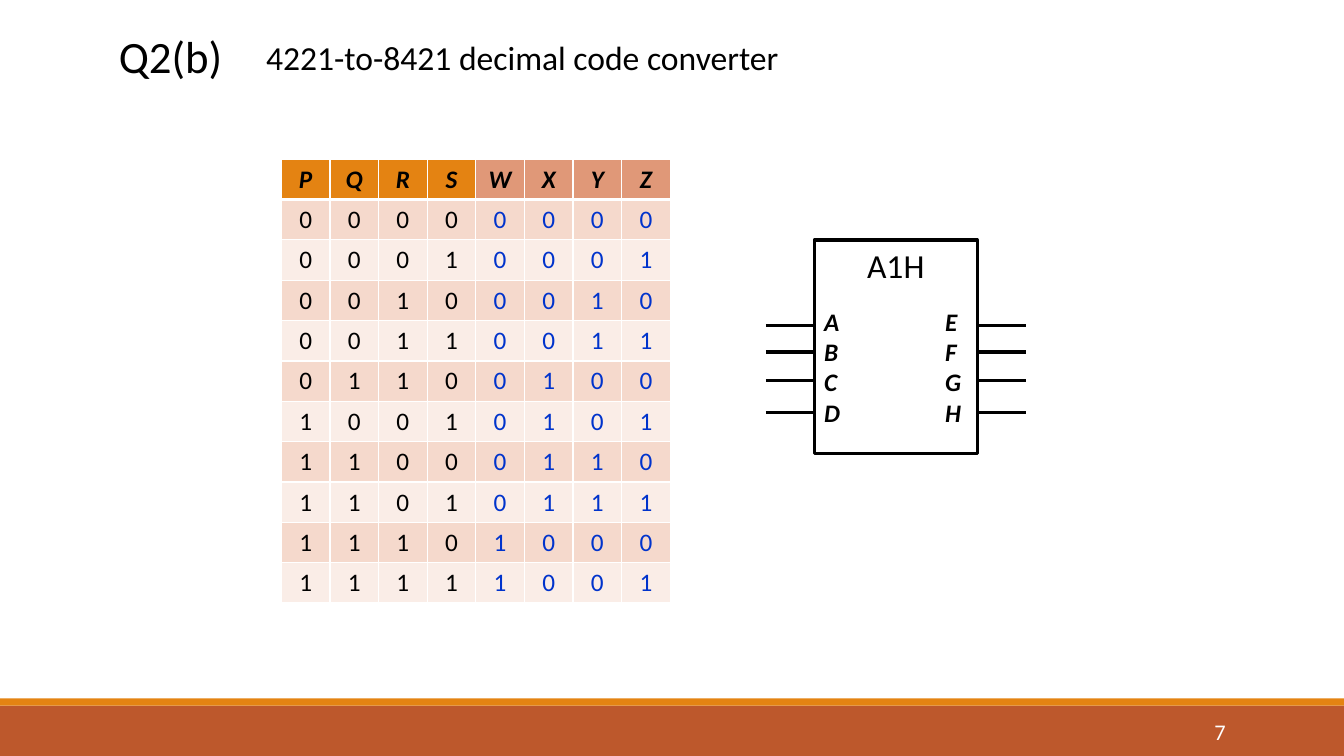
import pptx
import pptx.util
import pptx.dml.color
import pptx.enum.shapes
import pptx.enum.text
import pptx.oxml
import pptx.oxml.ns

Cm = pptx.util.Cm
Pt = pptx.util.Pt
RGBColor = pptx.dml.color.RGBColor
ALIGN = pptx.enum.text.PP_ALIGN
ANCHOR = pptx.enum.text.MSO_ANCHOR
RECT = pptx.enum.shapes.MSO_SHAPE.RECTANGLE
LINE = pptx.enum.shapes.MSO_CONNECTOR.STRAIGHT

FONT = "Calibri"
BLACK = RGBColor(0x00, 0x00, 0x00)
WHITE = RGBColor(0xFF, 0xFF, 0xFF)
BLUE = RGBColor(0x00, 0x33, 0xCC)
RUST = RGBColor(0xBD, 0x58, 0x2C)
ORANGE = RGBColor(0xE4, 0x83, 0x12)
SALMON = RGBColor(0xE0, 0x98, 0x78)
ROSE = RGBColor(0xF5, 0xD9, 0xCC)
BLUSH = RGBColor(0xFA, 0xED, 0xE7)

WIDE, HIGH = 33.87, 19.05
HEADS = "PQRSWXYZ"
CODES = ["0000", "0001", "0010", "0011", "0110",
         "1001", "1100", "1101", "1110", "1111"]
ROWS = [HEADS] + [code + f"{n:04b}" for n, code in enumerate(CODES)]


def style(frame, size, color=BLACK, align=ALIGN.LEFT, strong=False):
    for para in frame.paragraphs:
        para.alignment = align
        for run in para.runs:
            font = run.font
            font.name = FONT
            font.size = Pt(size)
            font.color.rgb = color
            font.bold = font.italic = strong


def label(slide, text, left, top, width, height, size, **look):
    box = slide.shapes.add_textbox(Cm(left), Cm(top), Cm(width), Cm(height))
    frame = box.text_frame
    frame.word_wrap = True
    frame.text = text
    style(frame, size, **look)
    return frame


def block(slide, left, top, width, height):
    shape = slide.shapes.add_shape(RECT, Cm(left), Cm(top), Cm(width), Cm(height))
    shape.shadow.inherit = False
    return shape


def wire(slide, left, top, width):
    line = slide.shapes.add_connector(LINE, Cm(left), Cm(top), Cm(left + width), Cm(top))
    line.line.color.rgb = BLACK
    line.line.width = Pt(2.25)
    props = line._element.spPr
    props.append(pptx.oxml.parse_xml(f"<a:effectLst {pptx.oxml.ns.nsdecls('a')}/>"))


def edge(cell, low):
    props = cell._tc.get_or_add_tcPr()
    for side, width in zip("LRTB", (1, 1, 1, low)):
        props.append(pptx.oxml.parse_xml(
            f'<a:ln{side} {pptx.oxml.ns.nsdecls("a")} w="{Pt(width)}">'
            f'<a:solidFill><a:srgbClr val="{WHITE}"/></a:solidFill></a:ln{side}>'))


def header(slide, left, top, width, height):
    title = slide.shapes.title
    title.left, title.top = Cm(left), Cm(top)
    title.width, title.height = Cm(3.4), Cm(height)
    frame = title.text_frame
    frame.text = "Q2(b)"
    frame.vertical_anchor = ANCHOR.TOP
    frame.paragraphs[0].line_spacing = 0.9
    style(frame, 32)
    label(slide, "4221-to-8421 decimal code converter", left + 3.07, top + 0.07,
          width - 3.07, 1.27, 24, align=ALIGN.CENTER)


def truth(slide, left, top, width, height):
    table = slide.shapes.add_table(len(ROWS), len(HEADS), Cm(left), Cm(top),
                                   Cm(width), Cm(height)).table
    for r, row in enumerate(ROWS):
        for c, text in enumerate(row):
            cell = table.cell(r, c)
            edge(cell, 1 if r else 3)
            cell.fill.solid()
            right = c >= 4
            if r:
                cell.fill.fore_color.rgb = ROSE if r % 2 else BLUSH
            else:
                cell.fill.fore_color.rgb = SALMON if right else ORANGE
            cell.text_frame.text = text
            style(cell.text_frame, 18, BLUE if r and right else BLACK,
                  ALIGN.CENTER, strong=not r)


def chip(slide, left, top, width, height):
    label(slide, "A1H", left + 0.65, top, width - 1.3, 1.27, 24, align=ALIGN.CENTER)
    body = block(slide, left, top, width, height)
    body.fill.background()
    body.line.color.rgb = BLACK
    body.line.width = Pt(2.25)
    for pins, shift in (("A\nB\nC\nD", 0), ("E\nF\nG\nH", 3.05)):
        label(slide, pins, left + shift, top + 1.54, 1.35, 3.33, 18, strong=True)
    lead = 1.22
    for start in (left - lead, left + width):
        for drop in (2.16, 2.82, 3.53, 4.34):
            wire(slide, start, top + drop, lead)


def footer(slide, left, top, width, height):
    strip = 0.18
    for color, y, tall in ((RUST, top + strip, height - strip), (ORANGE, top, strip)):
        bar = block(slide, left, y, width, tall)
        bar.fill.solid()
        bar.fill.fore_color.rgb = color
        bar.line.fill.background()
    frame = label(slide, "7", left + 27.51, top + 0.33, 3.63, 1.02, 16,
                  color=WHITE, align=ALIGN.RIGHT)
    frame.vertical_anchor = ANCHOR.MIDDLE


def main():
    deck = pptx.Presentation()
    deck.slide_width, deck.slide_height = Cm(WIDE), Cm(HIGH)
    slide = deck.slides.add_slide(deck.slide_layouts[5])
    footer(slide, 0, 17.6, WIDE, HIGH - 17.6)
    truth(slide, 7.09, 4.01, 9.8, 11.18)
    chip(slide, 20.52, 6.05, 4.11, 5.38)
    header(slide, 2.74, 0.74, 17.78, 1.6)
    deck.save("out.pptx")


if __name__ == "__main__":
    main()
